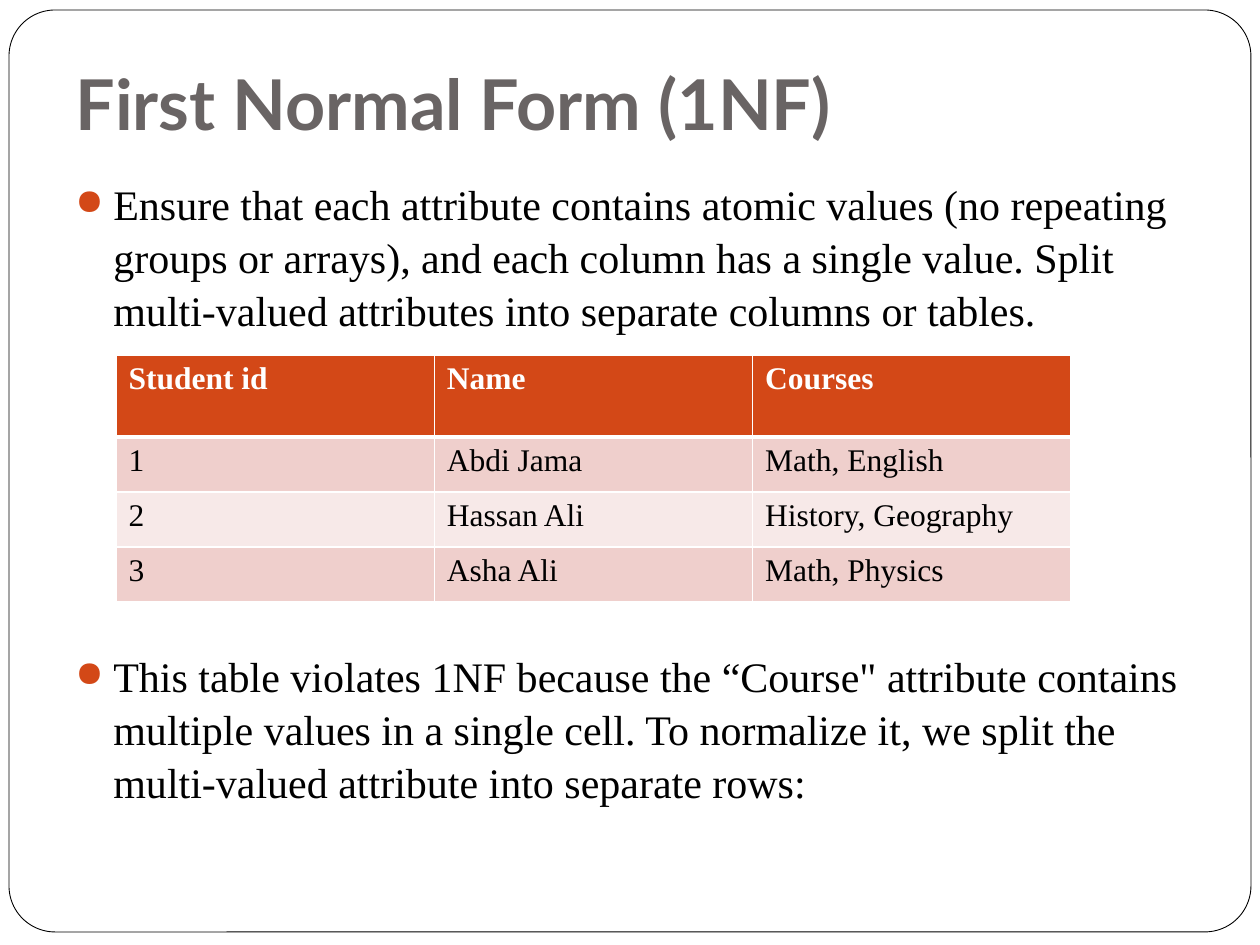
from lxml.etree import SubElement
from pptx import Presentation
from pptx.dml.color import RGBColor
from pptx.enum.shapes import MSO_SHAPE as Shape
from pptx.enum.text import MSO_ANCHOR as Anchor, PP_ALIGN as Align
from pptx.oxml.ns import qn
from pptx.util import Pt

EMU_PER_PX = 914400 // 126
COLOURS = {
    "paper": "FFFFFF",
    "ink": "000000",
    "title": "696464",
    "accent": "D34817",
    "odd": "EFCFCC",
    "even": "F7E9E8",
}
HEADING_FONT = "Lato"
TEXT_FONT = "Times New Roman"

POINTS = [
    "Ensure that each attribute contains atomic values (no repeating groups or "
    "arrays), and each column has a single value. Split multi-valued attributes "
    "into separate columns or tables.",
    "This table violates 1NF because the “Course\" attribute contains multiple "
    "values in a single cell. To normalize it, we split the multi-valued "
    "attribute into separate rows:",
]
STUDENTS = [
    ["Student id", "Name", "Courses"],
    ["1", "Abdi Jama", "Math, English"],
    ["2", "Hassan Ali", "History, Geography"],
    ["3", "Asha Ali", "Math, Physics"],
]


def px(*lengths):
    return [length * EMU_PER_PX for length in lengths]


def colour(name):
    return RGBColor.from_string(COLOURS[name])


class SlideBuilder:
    def __init__(self, page):
        self.page = page

    def style(self, para, font, size, ink, bold=False):
        para.font.name = font
        para.font.size = Pt(size)
        para.font.bold = bold
        para.font.color.rgb = colour(ink)
        para.alignment = Align.LEFT

    def frame(self, *place):
        frame = self.page.shapes.add_shape(Shape.ROUNDED_RECTANGLE, *px(*place))
        frame.adjustments[0] = 0.05
        frame.shadow.inherit = False
        frame.fill.solid()
        frame.fill.fore_color.rgb = colour("paper")
        frame.line.color.rgb = colour("ink")
        frame.line.width = Pt(0.5)

    def title(self, text, *place):
        title = self.page.shapes.title
        title.element.getparent().append(title.element)
        title.left, title.top, title.width, title.height = px(*place)
        box = title.text_frame
        box.text = text
        box.word_wrap = True
        box.vertical_anchor = Anchor.BOTTOM
        box.margin_bottom = px(13)[0]
        self.style(box.paragraphs[0], HEADING_FONT, 40, "title", bold=True)

    def bullets(self, points, gap, *place):
        box = self.page.shapes.add_textbox(*px(*place)).text_frame
        box.word_wrap = True
        for index, text in enumerate(points):
            para = box.add_paragraph() if index else box.paragraphs[0]
            para.text = text
            para.line_spacing = 1.05
            para.space_before = Pt(gap if index else 0)
            self.style(para, TEXT_FONT, 24, "ink")
            self.bullet(para)

    def bullet(self, para):
        props = para._p.get_or_add_pPr()
        indent = px(38)[0]
        props.set("marL", str(indent))
        props.set("indent", str(-indent))
        tint = SubElement(props, qn("a:buClr"))
        SubElement(tint, qn("a:srgbClr"), val=COLOURS["accent"])
        SubElement(props, qn("a:buSzPct"), val="85000")
        SubElement(props, qn("a:buChar"), char="●")

    def table(self, rows, heights, *place):
        shape = self.page.shapes.add_table(len(rows), len(rows[0]), *px(*place))
        grid = shape.table
        for row, height in zip(grid.rows, px(*heights)):
            row.height = height
        for r, values in enumerate(rows):
            for c, text in enumerate(values):
                self.cell(grid.cell(r, c), text, r)

    def cell(self, cell, text, row):
        header = row == 0
        cell.text = text
        ink = "paper" if header else "ink"
        self.style(cell.text_frame.paragraphs[0], TEXT_FONT, 18, ink, header)
        top, bottom = 3 if row == 1 else 1, 3 if header else 1
        props = cell._tc.get_or_add_tcPr()
        for side, width in zip("LRTB", (1, 1, top, bottom)):
            line = SubElement(props, qn(f"a:ln{side}"), w=str(Pt(width)))
            fill = SubElement(line, qn("a:solidFill"))
            SubElement(fill, qn("a:srgbClr"), val=COLOURS["paper"])
        cell.fill.solid()
        band = "odd" if row % 2 else "even"
        cell.fill.fore_color.rgb = colour("accent" if header else band)


def main():
    deck = Presentation()
    deck.slide_width, deck.slide_height = px(1260, 945)
    page = deck.slides.add_slide(deck.slide_layouts[5])
    builder = SlideBuilder(page)
    builder.frame(9, 10, 1242, 922)
    builder.title("First Normal Form (1NF)", 63, 38, 1134, 120)
    builder.bullets(POINTS, 179, 63, 170, 1134, 754)
    builder.table(STUDENTS, [82, 55, 55, 55], 116, 355, 955, 247)
    deck.save("out.pptx")


if __name__ == "__main__":
    main()
